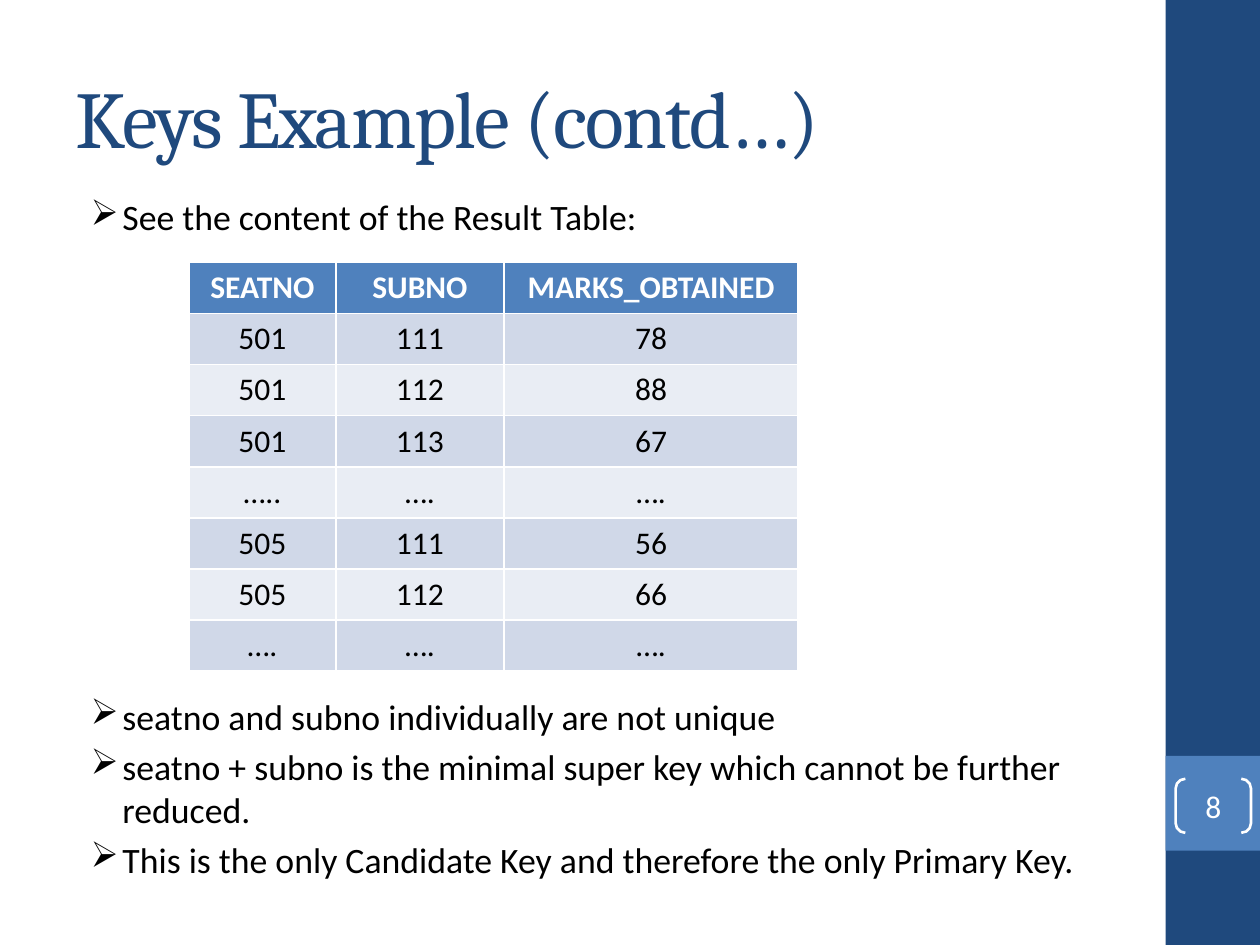
"""Build the slide on keys with its result table."""
import pptx
import pptx.util
import pptx.dml.color
import pptx.enum.shapes
import pptx.enum.text
import pptx.oxml.ns
import lxml.etree

Cm = pptx.util.Cm
Pt = pptx.util.Pt
Shape = pptx.enum.shapes.MSO_SHAPE
Align = pptx.enum.text.PP_ALIGN
Anchor = pptx.enum.text.MSO_ANCHOR
hues = {"navy": "1F497D", "blue": "4F81BD", "white": "FFFFFF",
        "black": "000000", "dark": "D0D8E8", "light": "E9EDF4"}


def rgb(name):
    return pptx.dml.color.RGBColor.from_string(hues[name])


def style(para, face, size, hue):
    para.font.name = face
    para.font.size = Pt(size)
    para.font.color.rgb = rgb(hue)


deck = pptx.Presentation()
deck.slide_width, deck.slide_height = Cm(25.4), Cm(19.05)
slide = deck.slides.add_slide(deck.slide_layouts[6])
shapes = slide.shapes

for top, high, hue in [(0, 19.05, "navy"), (15.24, 1.91, "blue")]:
    bar = shapes.add_shape(Shape.RECTANGLE, Cm(23.5), Cm(top), Cm(1.9), Cm(high))
    bar.shadow.inherit = False
    bar.fill.solid()
    bar.fill.fore_color.rgb = rgb(hue)
    bar.line.fill.background()

title = shapes.add_textbox(Cm(1.27), Cm(0.76), Cm(21.16), Cm(3.18)).text_frame
title.word_wrap = True
title.vertical_anchor = Anchor.MIDDLE
para = title.paragraphs[0]
run = para.add_run()
run.text = "Keys Example (contd…)"
run.font._element.set("spc", "-100")
style(para, "Cambria", 46, "navy")

points = [
    ("See the content of the Result Table:", 4),
    ("seatno and subno individually are not unique", 261),
    ("seatno + subno is the minimal super key which cannot be further reduced.", 4),
    ("This is the only Candidate Key and therefore the only Primary Key.", 4),
]
body = shapes.add_textbox(Cm(1.27), Cm(3.81), Cm(21.16), Cm(14.4)).text_frame
body.word_wrap = True
for i, (text, gap) in enumerate(points):
    para = body.add_paragraph() if i else body.paragraphs[0]
    para.text = text
    para.space_before = Pt(gap)
    style(para, "Calibri", 20.4, "black")
    props = para._p.get_or_add_pPr()
    props.set("marL", str(Cm(0.95)))
    props.set("indent", str(-Cm(0.64)))
    mark = lxml.etree.SubElement(props, pptx.oxml.ns.qn("a:buChar"))
    mark.set("char", "➢")

rows = [
    ("SEATNO", "SUBNO", "MARKS_OBTAINED"),
    ("501", "111", "78"),
    ("501", "112", "88"),
    ("501", "113", "67"),
    ("…..", "….", "…."),
    ("505", "111", "56"),
    ("505", "112", "66"),
    ("….", "….", "…."),
]
wide = [2.96, 3.39, 5.93]
high = 1.03
table = shapes.add_table(len(rows), len(wide), Cm(3.81), Cm(5.29),
                         Cm(sum(wide)), Cm(high * len(rows))).table
for col, size in zip(table.columns, wide):
    col.width = Cm(size)
for r, row in enumerate(rows):
    table.rows[r].height = Cm(high)
    fill = ("dark" if r % 2 else "light") if r else "blue"
    for c, text in enumerate(row):
        cell = table.cell(r, c)
        cell.text = text
        cell.fill.solid()
        cell.fill.fore_color.rgb = rgb(fill)
        para = cell.text_frame.paragraphs[0]
        para.alignment = Align.CENTER
        para.font.bold = r == 0
        style(para, "Calibri", 18, "black" if r else "white")

page = shapes.add_shape(Shape.DOUBLE_BRACKET, Cm(23.7), Cm(15.7), Cm(1.52), Cm(1.09))
page.shadow.inherit = False
page.adjustments[0] = 0.18
page.fill.background()
page.line.color.rgb = rgb("white")
page.line.width = Pt(1.5)
frame = page.text_frame
frame.margin_left = frame.margin_right = frame.margin_top = frame.margin_bottom = 0
frame.vertical_anchor = Anchor.MIDDLE
para = frame.paragraphs[0]
para.text = "8"
para.alignment = Align.CENTER
style(para, "Calibri", 18, "white")

deck.save("out.pptx")
